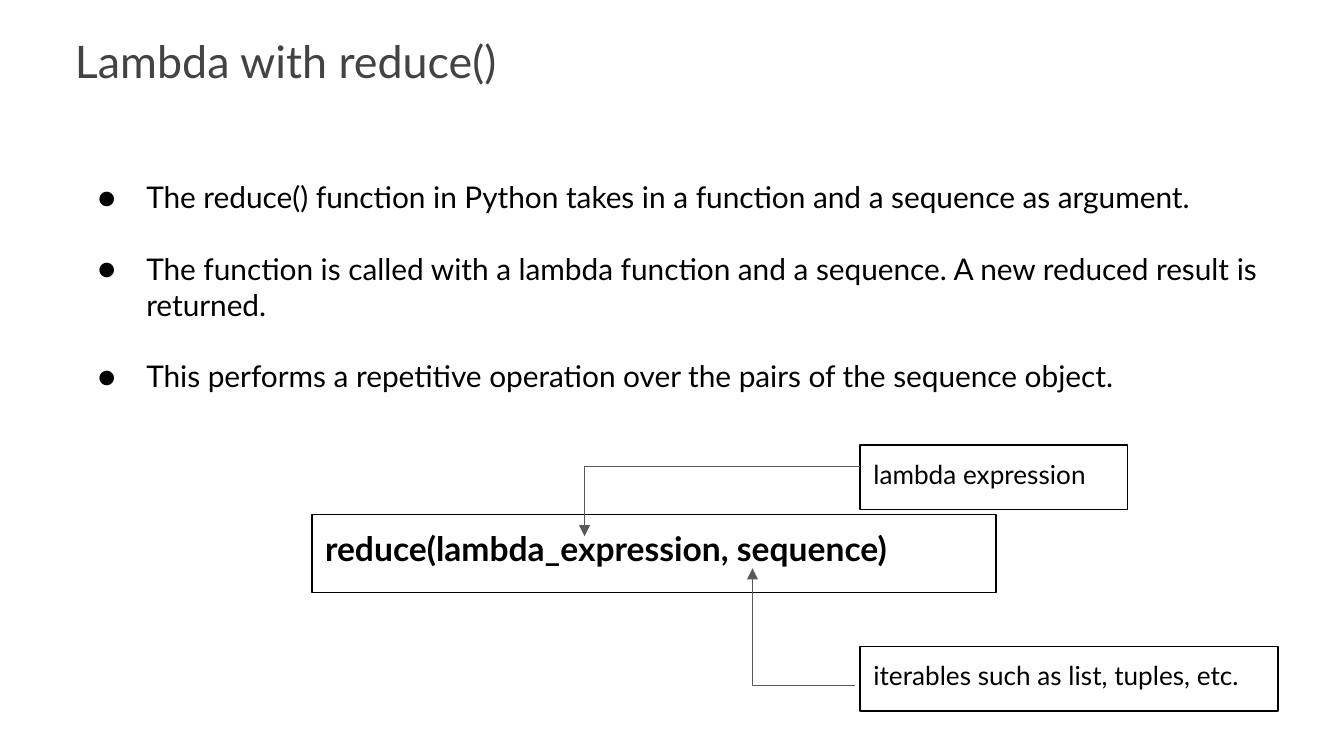
from lxml import etree
from pptx import Presentation
from pptx.dml.color import RGBColor
from pptx.enum.shapes import MSO_CONNECTOR as CONN, MSO_SHAPE as SHAPE
from pptx.enum.text import MSO_ANCHOR as ANCHOR, PP_ALIGN as ALIGN
from pptx.oxml.ns import qn
from pptx.util import Inches, Pt


def rgb(hex_code):
    return RGBColor.from_string(hex_code)


class Deck:
    FONT = "Lato"
    INK, TITLE, ARROW = "000000", "434343", "595959"
    LINE = Pt(0.75)
    INSET = Inches(0.1)

    def __init__(self, width):
        """Start a 16:9 deck with one blank slide."""
        self.prs = Presentation()
        self.prs.slide_width, self.prs.slide_height = Inches(width), Inches(width * 9 / 16)
        self.s = self.prs.slides.add_slide(self.prs.slide_layouts[6])

    def frame(self, sp):
        tf = sp.text_frame
        tf.word_wrap = True
        tf.vertical_anchor = ANCHOR.TOP
        tf.margin_left = tf.margin_right = self.INSET
        tf.margin_top = tf.margin_bottom = self.INSET
        return tf

    def run(self, p, text, size, color=INK, bold=False):
        r = p.add_run()
        r.text = text
        r.font.name, r.font.size, r.font.bold = self.FONT, Pt(size), bold
        r.font.color.rgb = rgb(color)

    def title(self, text, *box):
        sp = self.s.shapes.add_textbox(*map(Inches, box))
        self.run(self.frame(sp).paragraphs[0], text, 24, self.TITLE)

    def bullets(self, items, *box, size=16):
        tf = self.frame(self.s.shapes.add_textbox(*map(Inches, box)))
        for i, item in enumerate(items):
            p = tf.add_paragraph() if i else tf.paragraphs[0]
            p.space_before = Pt(1.2 * size if i else 0)
            pPr = p._p.get_or_add_pPr()
            pPr.set("marL", str(Inches(0.5)))
            pPr.set("indent", str(Inches(-0.36)))
            color = etree.SubElement(pPr, qn("a:buClr"))
            etree.SubElement(color, qn("a:srgbClr"), val=self.INK)
            etree.SubElement(pPr, qn("a:buSzPts"), val=str(size * 100))
            etree.SubElement(pPr, qn("a:buFont"), typeface=self.FONT)
            etree.SubElement(pPr, qn("a:buChar"), char="●")
            self.run(p, item, size)

    def label(self, text, size, *box, bold=False):
        sp = self.s.shapes.add_shape(SHAPE.RECTANGLE, *map(Inches, box))
        sp.shadow.inherit = False
        sp.fill.background()
        sp.line.color.rgb, sp.line.width = rgb(self.INK), self.LINE
        p = self.frame(sp).paragraphs[0]
        p.alignment = ALIGN.JUSTIFY
        self.run(p, text, size, bold=bold)

    def elbow_arrow(self, x1, y1, x2, y2):
        """Run level from the first point, then turn once to the arrowhead."""
        c = self.s.shapes.add_connector(CONN.ELBOW, *map(Inches, (x1, y1, x2, y2)))
        c.line.color.rgb, c.line.width = rgb(self.ARROW), self.LINE
        spPr = c._element.spPr
        guides = spPr.find(qn("a:prstGeom")).get_or_add_avLst()
        etree.SubElement(guides, qn("a:gd"), name="adj1", fmla="val 100000")
        etree.SubElement(spPr.find(qn("a:ln")), qn("a:tailEnd"), type="triangle")
        etree.SubElement(spPr, qn("a:effectLst"))


def main():
    d = Deck(10)
    d.title("Lambda with reduce()", 0.46, 0.15, 8.43, 0.58)
    d.bullets([
        "The reduce() function in Python takes in a function and a sequence as argument.",
        "The function is called with a lambda function and a sequence. "
        "A new reduced result is returned.",
        "This performs a repetitive operation over the pairs of the sequence object.",
    ], 0.49, 1.23, 9.33, 1.88)

    d.label("reduce(lambda_expression, sequence)", 18, 2.32, 3.83, 5.09, 0.58, bold=True)
    d.label("lambda expression", 14, 6.4, 3.31, 1.99, 0.48)
    d.label("iterables such as list, tuples, etc.", 14, 6.4, 4.81, 3.11, 0.48)

    d.elbow_arrow(6.4, 3.47, 4.35, 3.99)
    d.elbow_arrow(6.36, 5.1, 5.6, 4.23)
    d.prs.save("out.pptx")


if __name__ == "__main__":
    main()
